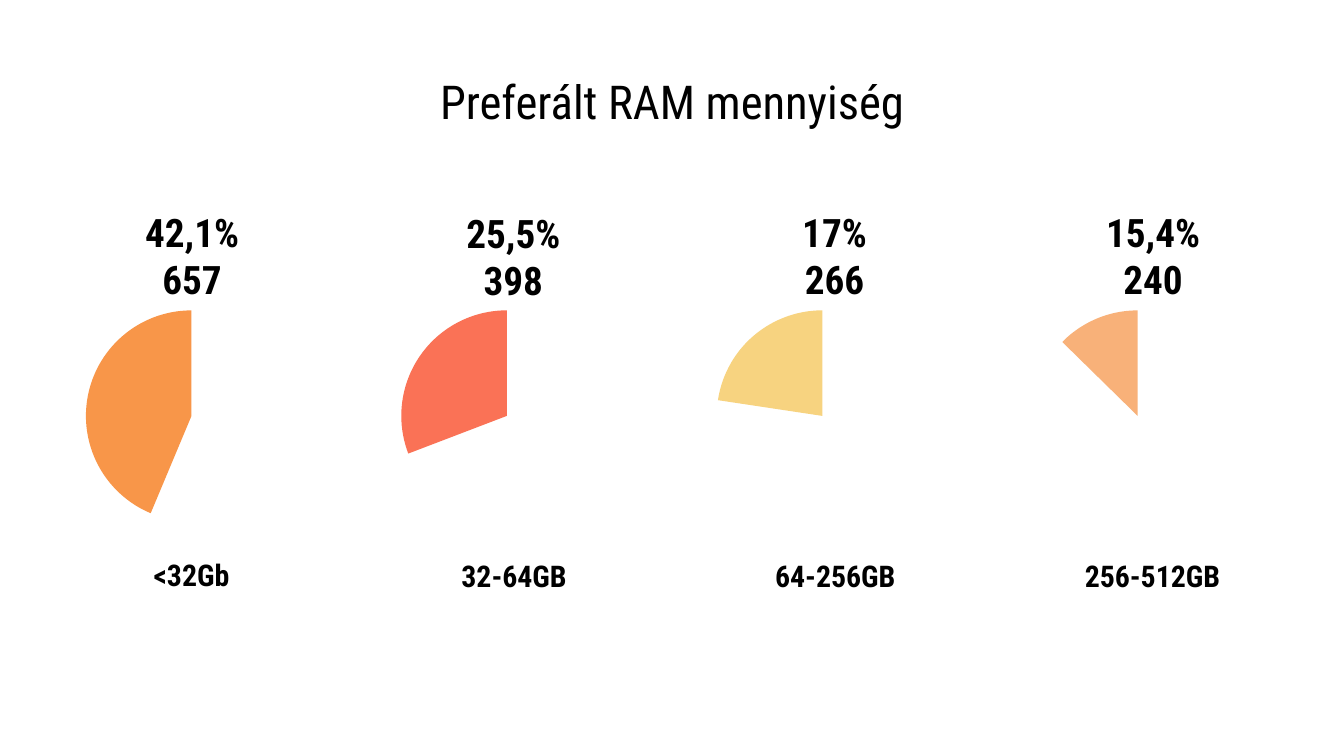
from pptx import Presentation
from pptx.dml.color import RGBColor
from pptx.enum.shapes import MSO_SHAPE as Preset
from pptx.enum.text import MSO_ANCHOR as Anchor, MSO_AUTO_SIZE as AutoSize, PP_ALIGN as Align
from pptx.util import Inches, Pt

THEME = {
    "text": RGBColor.from_string("000000"),
    "background": RGBColor.from_string("FFFFFF"),
    "font": "Roboto Condensed",
    "title": Pt(25),
    "value": Pt(21),
    "label": Pt(16),
}


def write_text(shape, lines, size, anchor, bold):
    frame = shape.text_frame
    frame_format = {"word_wrap": True, "auto_size": AutoSize.NONE, "vertical_anchor": anchor}
    for side in ("left", "top", "right", "bottom"):
        frame_format[f"margin_{side}"] = Inches(0.1)
    for name, value in frame_format.items():
        setattr(frame, name, value)
    frame.text = "\n".join(lines)
    for paragraph in frame.paragraphs:
        paragraph.alignment = Align.CENTER
        for name, value in {"name": THEME["font"], "size": size, "bold": bold}.items():
            setattr(paragraph.font, name, value)
        paragraph.font.color.rgb = THEME["text"]


# A 16:9 slide
presentation = Presentation()
presentation.slide_width = Inches(10)
presentation.slide_height = Inches(10 * 9 / 16)
slide = presentation.slides.add_slide(presentation.slide_layouts[5])
slide.background.fill.solid()
slide.background.fill.fore_color.rgb = THEME["background"]

# Title
title = slide.shapes.title
title_box = {"left": 0.5, "top": 0.49, "width": 9, "height": 0.57}
for name, value in title_box.items():
    setattr(title, name, Inches(value))
write_text(title, ["Preferált RAM mennyiség"], THEME["title"], Anchor.BOTTOM, False)

# One column per memory size:
# share, count, label, start angle, colour, value left and top, label left and top
columns = [
    ("42,1%", "657", "<32Gb", 112.72, "F89649", (0.53, 1.67), (0.67, 4.04)),
    ("25,5%", "398", "32-64GB", 159.05, "FA7256", (2.92, 1.68), (3.07, 4.05)),
    ("17%", "266", "64-256GB", 188.55, "F7D380", (5.31, 1.67), (5.46, 4.05)),
    ("15,4%", "240", "256-512GB", 224.46, "F8B179", (7.68, 1.67), (7.82, 4.05)),
]
PIE_LEFT, PIE_PITCH, PIE_SIZE = 0.64, 7.04 / 3, 1.57
ADJUSTMENT_PER_DEGREE = 0.6

for index, (share, count, label, start_angle, colour, value_at, label_at) in enumerate(columns):
    # Wedge ending at twelve o'clock
    wedge = slide.shapes.add_shape(
        Preset.PIE, Inches(PIE_LEFT + index * PIE_PITCH), Inches(2.31),
        Inches(PIE_SIZE), Inches(PIE_SIZE))
    wedge.adjustments[0] = start_angle * ADJUSTMENT_PER_DEGREE
    wedge.adjustments[1] = 270 * ADJUSTMENT_PER_DEGREE
    wedge.shadow.inherit = False
    wedge.fill.solid()
    wedge.fill.fore_color.rgb = RGBColor.from_string(colour)
    wedge.line.fill.background()

    # Share and count above, memory size below
    value_box = slide.shapes.add_textbox(*map(Inches, value_at), Inches(1.8), Inches(0.46))
    write_text(value_box, [share, count], THEME["value"], Anchor.MIDDLE, True)
    label_box = slide.shapes.add_textbox(*map(Inches, label_at), Inches(1.51), Inches(0.27))
    write_text(label_box, [label], THEME["label"], Anchor.TOP, True)

presentation.save("out.pptx")
